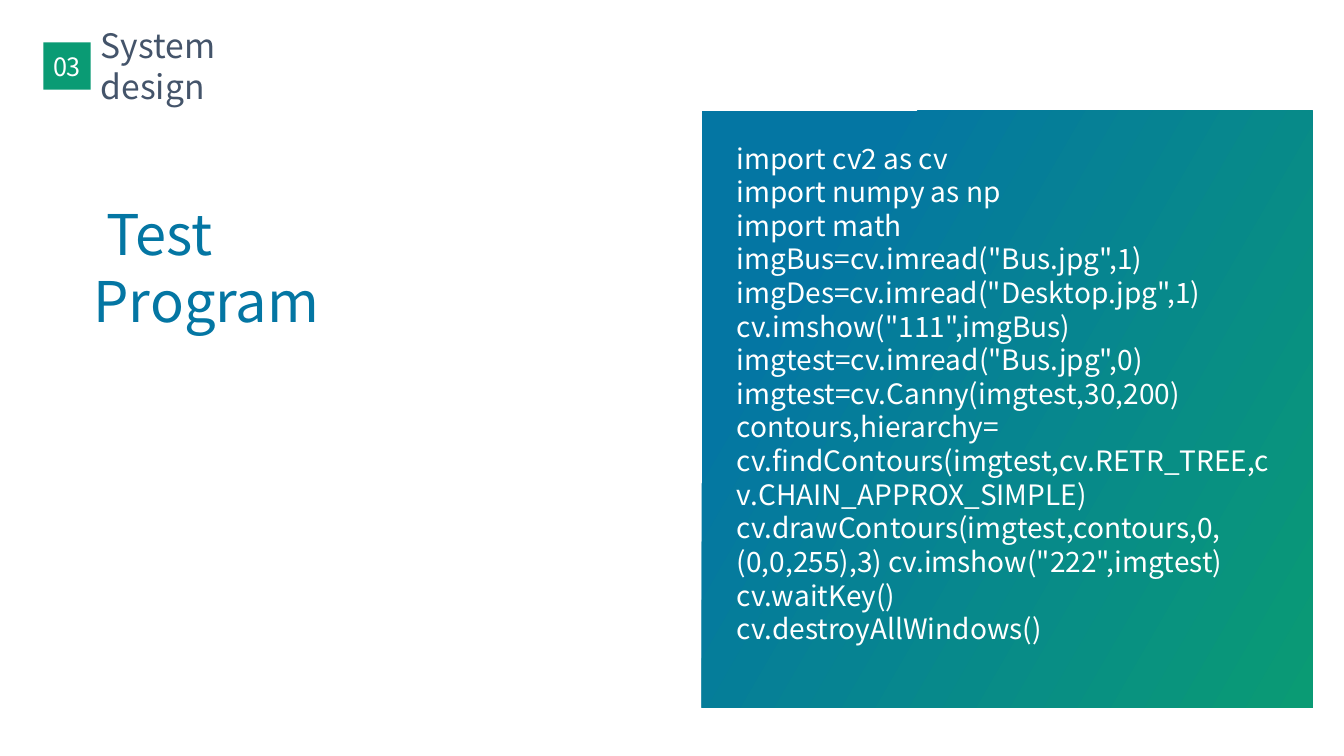
from pptx import Presentation
from pptx.dml.color import RGBColor
from pptx.enum import shapes, text
from pptx.oxml import parse_xml
from pptx.oxml.ns import nsdecls
from pptx.util import Pt

SCALE = 9144  # EMU per px, 100 px to the inch
WHITE = RGBColor(0xFF, 0xFF, 0xFF)
SLATE = RGBColor(0x44, 0x54, 0x6A)
BLUE = RGBColor(0x04, 0x76, 0xA3)
GREEN = RGBColor(0x0A, 0x9B, 0x74)

CODE = [
    "import cv2 as cv",
    "import numpy as np",
    "import math",
    'imgBus=cv.imread("Bus.jpg",1) imgDes=cv.imread("Desktop.jpg",1) '
    'cv.imshow("111",imgBus) imgtest=cv.imread("Bus.jpg",0) '
    "imgtest=cv.Canny(imgtest,30,200)",
    "contours,hierarchy=",
    "cv.findContours(imgtest,cv.RETR_TREE,cv.CHAIN_APPROX_SIMPLE) "
    "cv.drawContours(imgtest,contours,0,(0,0,255),3) "
    'cv.imshow("222",imgtest)',
    "cv.waitKey()",
    "cv.destroyAllWindows()",
]


class Page:
    face = "Noto Sans CJK SC"
    pitch = 1.2

    def __init__(self, slide):
        self.slide = slide

    def box(self, at):
        return [n * SCALE for n in at]

    def letter(self, shape, lines, size, color, pad=(10, 5, 10, 5),
               anchor=text.MSO_ANCHOR.TOP, align=text.PP_ALIGN.LEFT):
        """Set the lines of text in a shape, one paragraph each."""
        frame = shape.text_frame
        left, top, right, low = self.box(pad)
        form = dict(margin_left=left, margin_top=top, margin_right=right,
                    margin_bottom=low, word_wrap=True, vertical_anchor=anchor,
                    auto_size=text.MSO_AUTO_SIZE.NONE)
        for key, val in form.items():
            setattr(frame, key, val)
        frame.text = "\n".join(lines)
        look = dict(name=self.face, size=Pt(size), bold=False)
        flow = dict(alignment=align, line_spacing=Pt(size * self.pitch),
                    space_before=Pt(0), space_after=Pt(0))
        for para in frame.paragraphs:
            for key, val in flow.items():
                setattr(para, key, val)
            for key, val in look.items():
                setattr(para.runs[0].font, key, val)
            para.runs[0].font.color.rgb = color

    def place(self, shape, at):
        shape.left, shape.top, shape.width, shape.height = self.box(at)

    def title(self, at, line, size, color, **form):
        shape = self.slide.shapes.title
        self.place(shape, at)
        self.letter(shape, [line], size, color, **form)

    def badge(self, at, line, size, color, fill):
        """Number in a filled square, held by the body placeholder."""
        shape = self.slide.placeholders[1]
        self.place(shape, at)
        shape.fill.solid()
        shape.fill.fore_color.rgb = fill
        self.letter(shape, [line], size, color, pad=(0, 0, 0, 0),
                    anchor=text.MSO_ANCHOR.MIDDLE, align=text.PP_ALIGN.CENTER)
        props = shape.text_frame.paragraphs[0]._p.get_or_add_pPr()
        props.set("marL", "0")
        props.set("indent", "0")
        props.append(parse_xml(f"<a:buNone {nsdecls('a')}/>"))

    def panel(self, at, stops, angle):
        shape = self.slide.shapes.add_shape(
            shapes.MSO_SHAPE.RECTANGLE, *self.box(at))
        shape.shadow.inherit = False
        shape.line.fill.background()
        shape.fill.gradient()
        shape.fill.gradient_angle = angle
        for stop, (pos, color) in zip(shape.fill.gradient_stops, stops):
            stop.position = pos
            stop.color.rgb = color

    def label(self, at, lines, size, color, **form):
        shape = self.slide.shapes.add_textbox(*self.box(at))
        self.letter(shape, lines, size, color, **form)


def main():
    deck = Presentation()
    deck.slide_width, deck.slide_height = 1333 * SCALE, 750 * SCALE
    page = Page(deck.slides.add_slide(deck.slide_layouts[1]))
    page.title((90, 45, 241, 40), "System design", 24, SLATE,
               pad=(10, 0, 80, 0), anchor=text.MSO_ANCHOR.MIDDLE)
    page.badge((43, 42, 47, 47), "03", 18, WHITE, GREEN)
    page.panel((696, 110, 606, 592), [(0.19, BLUE), (1, GREEN)], 330)
    page.label((721, 135, 555, 515), CODE, 20, WHITE)
    page.label((83, 193, 368, 77), [" Test Program"], 40, BLUE,
               pad=(10, 5, 80, 5))
    deck.save("out.pptx")


if __name__ == "__main__":
    main()
